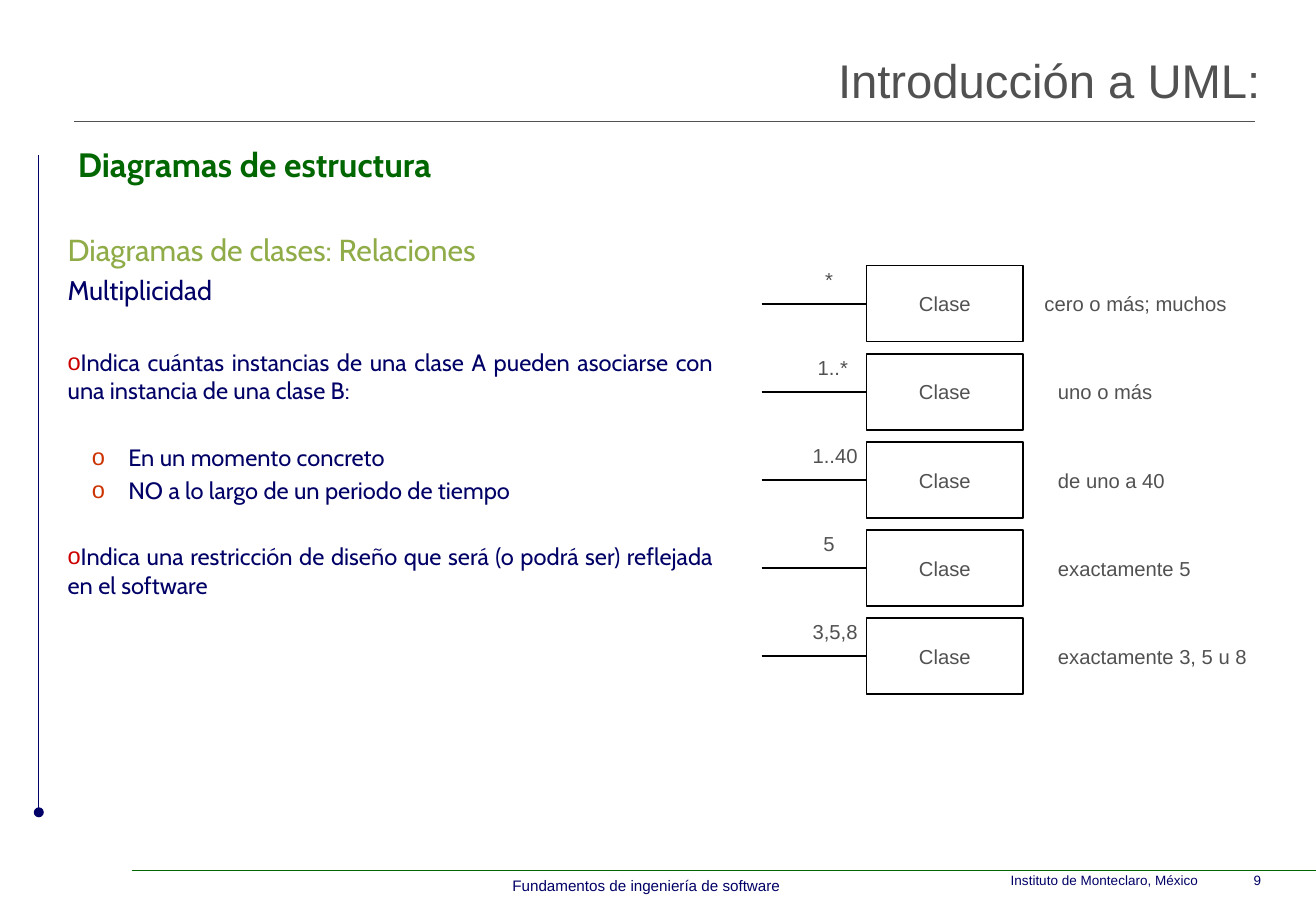
from dataclasses import dataclass

from lxml.etree import SubElement
from pptx import Presentation
from pptx.dml.color import RGBColor
from pptx.enum.shapes import MSO_CONNECTOR, MSO_SHAPE
from pptx.enum.text import MSO_ANCHOR, PP_ALIGN
from pptx.oxml.ns import qn
from pptx.util import Pt


@dataclass(frozen=True)
class Theme:
    sans: str = "Arial"
    heading: str = "Cabin"
    navy: str = "000066"
    green: str = "006600"
    olive: str = "90AC48"
    gray: str = "515151"
    black: str = "000000"
    white: str = "FFFFFF"
    bullet_red: str = "CC0000"
    bullet_orange: str = "CC3300"
    title_size: int = 28
    section_size: int = 20
    topic_size: int = 18
    subtopic_size: int = 16
    body_size: int = 14
    diagram_size: int = 12
    footer_size: int = 9
    credit_size: int = 8


THEME = Theme()

# Multiplicity, centre of its label, meaning, left edge of the meaning
MULTIPLICITIES = [
    ("*", 491.4, "cero o más; muchos", 612),
    ("1..*", 493.6, "uno o más", 620),
    ("1..40", 495, "de uno a 40", 620),
    ("5", 491.4, "exactamente 5", 620),
    ("3,5,8", 495, "exactamente 3, 5 u 8", 620),
]


def apply_format(target, values):
    for name, value in values.items():
        setattr(target, name, value)


def write_span(para, text, size, color, font=THEME.sans, bold=False):
    span = para.add_run()
    span.text = text
    apply_format(span.font, {"size": Pt(size), "name": font, "bold": bold})
    span.font.color.rgb = RGBColor.from_string(color)


def add_text_box(page, left, top, width, height, anchor=MSO_ANCHOR.TOP):
    box = page.shapes.add_textbox(Pt(left), Pt(top), Pt(width), Pt(height))
    apply_format(box.text_frame, {"word_wrap": True, "vertical_anchor": anchor})
    return box.text_frame


def add_label(page, area, text, size, color, align=PP_ALIGN.LEFT,
              anchor=MSO_ANCHOR.MIDDLE, **style):
    frame = add_text_box(page, *area, anchor)
    para = frame.paragraphs[0]
    para.alignment = align
    write_span(para, text, size, color, **style)


def add_line(page, start, end, color, weight, dot=False):
    line = page.shapes.add_connector(
        MSO_CONNECTOR.STRAIGHT, *(Pt(value) for value in (*start, *end)))
    line.line.width = Pt(weight)
    line.line.color.rgb = RGBColor.from_string(color)
    properties = line._element.spPr
    if dot:
        SubElement(properties.find(qn("a:ln")), qn("a:tailEnd"), type="oval")
    SubElement(properties, qn("a:effectLst"))


def add_class_box(page, left, top, width, height):
    box = page.shapes.add_shape(
        MSO_SHAPE.RECTANGLE, Pt(left), Pt(top), Pt(width), Pt(height))
    box.shadow.inherit = False
    box.fill.solid()
    box.fill.fore_color.rgb = RGBColor.from_string(THEME.white)
    box.line.width = Pt(1)
    box.line.color.rgb = RGBColor.from_string(THEME.black)
    box.text_frame.vertical_anchor = MSO_ANCHOR.MIDDLE
    para = box.text_frame.paragraphs[0]
    para.alignment = PP_ALIGN.CENTER
    write_span(para, "Clase", THEME.diagram_size, THEME.gray)


def set_bullet(para, color, margin):
    properties = para._p.get_or_add_pPr()
    properties.set("marL", str(Pt(margin)))
    properties.set("indent", str(Pt(-21.6)))
    bullet_color = SubElement(properties, qn("a:buClr"))
    SubElement(bullet_color, qn("a:srgbClr"), val=color)
    SubElement(properties, qn("a:buFont"), typeface=THEME.sans)
    SubElement(properties, qn("a:buChar"), char="o")


def add_frame_lines(page):
    add_line(page, (44, 72), (744, 72), THEME.gray, 0.5)
    add_line(page, (78, 516), (780, 516), THEME.green, 0.25)
    add_line(page, (23, 92), (23, 481.5), THEME.navy, 0.75, dot=True)


def add_body(page):
    heading, navy, size = THEME.heading, THEME.navy, THEME.body_size
    red, orange = (THEME.bullet_red, 0), (THEME.bullet_orange, 36)
    # Text, size, colour, space before, bullet colour and margin
    lines = [
        ("Diagramas de clases: Relaciones", THEME.topic_size, THEME.olive, 0, None),
        ("Multiplicidad", THEME.subtopic_size, navy, 3.2, None),
        ("Indica cuántas instancias de una clase A pueden asociarse con "
         "una instancia de una clase B:", size, navy, 25.2, red),
        ("En un momento concreto", size, navy, 22.6, orange),
        ("NO a lo largo de un periodo de tiempo", size, navy, 2.8, orange),
        ("Indica una restricción de diseño que será (o podrá ser) reflejada "
         "en el software", size, navy, 22.6, red),
    ]
    frame = add_text_box(page, 33, 133.5, 397, 345)
    for index, (text, points, color, gap, bullet) in enumerate(lines):
        para = frame.add_paragraph() if index else frame.paragraphs[0]
        apply_format(para, {"alignment": PP_ALIGN.JUSTIFY, "space_before": Pt(gap)})
        if bullet:
            set_bullet(para, *bullet)
        write_span(para, text, points, color, heading)


def add_multiplicity_rows(page):
    size, gray = THEME.diagram_size, THEME.gray
    first_top, pitch, height = 157.5, 52.25, 45
    for index, (mark, center, meaning, left) in enumerate(MULTIPLICITIES):
        top = first_top + index * pitch
        middle = top + height / 2
        add_class_box(page, 513.5, top, 93, height)
        add_line(page, (451.5, middle), (513.5, middle), THEME.black, 1)
        add_label(page, (center - 25, top - 2, 50, 20), mark, size, gray,
                  PP_ALIGN.CENTER)
        add_label(page, (left, middle - 10, 140, 20), meaning, size, gray)


def main():
    deck = Presentation()
    apply_format(deck, {"slide_width": Pt(780), "slide_height": Pt(540)})
    page = deck.slides.add_slide(deck.slide_layouts[6])

    # Rules and footer
    add_frame_lines(page)
    add_label(page, (592, 513.5, 184, 17), "Instituto de Monteclaro, México\t9",
              THEME.credit_size, THEME.navy, anchor=MSO_ANCHOR.TOP)
    add_label(page, (296, 516, 174, 18), "Fundamentos de ingeniería de software",
              THEME.footer_size, THEME.navy, PP_ALIGN.CENTER, MSO_ANCHOR.TOP)

    # Headings
    add_label(page, (39, 85, 279, 28), "Diagramas de estructura",
              THEME.section_size, THEME.green, anchor=MSO_ANCHOR.BOTTOM,
              font=THEME.heading, bold=True)
    add_label(page, (91, 27, 663, 40), "Introducción a UML:",
              THEME.title_size, THEME.gray, PP_ALIGN.RIGHT)

    # Explanation and diagram
    add_body(page)
    add_multiplicity_rows(page)

    deck.save("out.pptx")


main()
